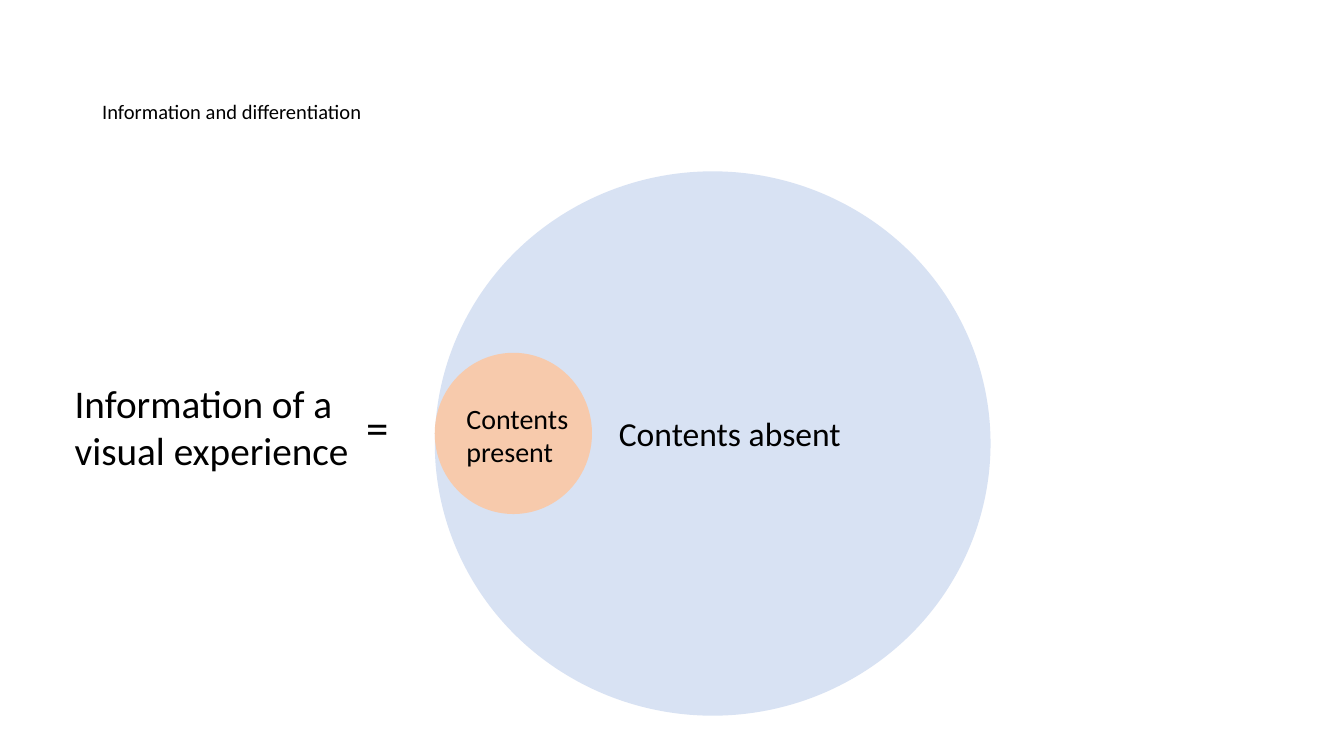
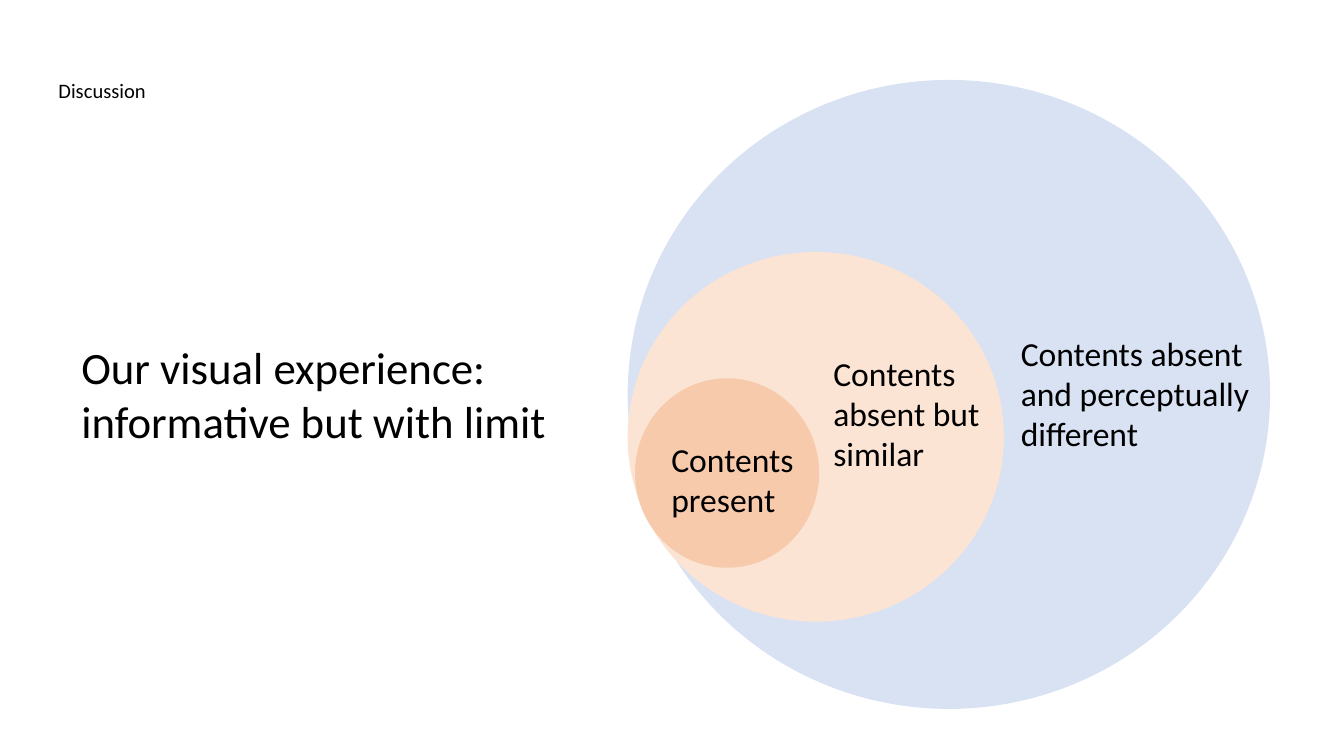
"""Build two slides of nested circles on what a visual experience contains."""

from dataclasses import dataclass

from pptx import Presentation
from pptx.dml.color import RGBColor
from pptx.enum.shapes import MSO_SHAPE
from pptx.enum.text import MSO_ANCHOR
from pptx.shapes.shapetree import GroupShapes, SlideShapes
from pptx.util import Emu, Pt

EMU_PER_PX = 4572
SLIDE_WIDTH, SLIDE_HEIGHT = 2000, 1125
INSET_X, INSET_Y = 15, 8


@dataclass(frozen=True)
class Theme:
    font: str = "Calibri"
    text: RGBColor = RGBColor(0x00, 0x00, 0x00)
    background: RGBColor = RGBColor(0xFF, 0xFF, 0xFF)
    absent: RGBColor = RGBColor(0xD8, 0xE2, 0xF3)
    similar: RGBColor = RGBColor(0xFB, 0xE4, 0xD4)
    present: RGBColor = RGBColor(0xF7, 0xCA, 0xAC)
    title_size: int = 11
    small_label_size: int = 15
    label_size: int = 18
    statement_size: int = 21
    headline_size: int = 24
    title_line_spacing: float = 0.9


THEME = Theme()


@dataclass(frozen=True)
class Box:
    left: int
    top: int
    width: int
    height: int

    def emu(self) -> tuple[Emu, Emu, Emu, Emu]:
        return px(self.left), px(self.top), px(self.width), px(self.height)


@dataclass(frozen=True)
class Label:
    text: str
    box: Box
    size: int = THEME.label_size
    anchor: MSO_ANCHOR = MSO_ANCHOR.TOP
    line_spacing: float = 1.0


@dataclass(frozen=True)
class Region:
    circle: Box
    color: RGBColor
    label: Label


@dataclass(frozen=True)
class Page:
    title: Label
    statements: list[Label]
    regions: list[Region]


def px(length: int) -> Emu:
    return Emu(length * EMU_PER_PX)


def title(text: str, left: int, top: int) -> Label:
    return Label(text, Box(left, top, 1725, 217), THEME.title_size,
                 MSO_ANCHOR.MIDDLE, THEME.title_line_spacing)


PAGES = [
    Page(
        title("Information and differentiation", 137, 60),
        [
            Label("Information of a visual experience", Box(96, 557, 496, 156), THEME.statement_size),
            Label("=", Box(530, 587, 234, 96), THEME.headline_size),
        ],
        [
            Region(Box(647, 255, 827, 810), THEME.absent,
                   Label("Contents absent", Box(906, 607, 386, 76))),
            Region(Box(647, 525, 234, 240), THEME.present,
                   Label("Contents present", Box(679, 589, 218, 116), THEME.small_label_size)),
        ],
    ),
    Page(
        title("Discussion", 72, 28),
        [
            Label("Our visual experience: informative but with limit",
                  Box(106, 498, 732, 176), THEME.headline_size),
        ],
        [
            Region(Box(934, 119, 956, 936), THEME.absent,
                   Label("Contents absent and perceptually different", Box(1504, 487, 446, 196))),
            Region(Box(934, 375, 560, 550), THEME.similar,
                   Label("Contents absent but similar", Box(1225, 517, 258, 196))),
            Region(Box(945, 563, 274, 282), THEME.present,
                   Label("Contents present", Box(984, 645, 214, 136))),
        ],
    ),
]


def add_label(shapes: SlideShapes | GroupShapes, label: Label) -> None:
    frame = shapes.add_textbox(*label.box.emu()).text_frame
    frame.word_wrap = True
    frame.vertical_anchor = label.anchor
    frame.margin_left = frame.margin_right = px(INSET_X)
    frame.margin_top = frame.margin_bottom = px(INSET_Y)
    paragraph = frame.paragraphs[0]
    paragraph.text = label.text
    paragraph.line_spacing = label.line_spacing
    paragraph.font.name = THEME.font
    paragraph.font.size = Pt(label.size)
    paragraph.font.color.rgb = THEME.text


def add_region(shapes: SlideShapes, region: Region) -> None:
    group = shapes.add_group_shape()
    circle = group.shapes.add_shape(MSO_SHAPE.OVAL, *region.circle.emu())
    circle.shadow.inherit = False
    circle.fill.solid()
    circle.fill.fore_color.rgb = region.color
    circle.line.fill.background()
    add_label(group.shapes, region.label)


def add_page(presentation: Presentation, page: Page) -> None:
    slide = presentation.slides.add_slide(presentation.slide_layouts[6])
    slide.background.fill.solid()
    slide.background.fill.fore_color.rgb = THEME.background
    add_label(slide.shapes, page.title)
    for region in page.regions:
        add_region(slide.shapes, region)
    for statement in page.statements:
        add_label(slide.shapes, statement)


def main() -> None:
    presentation = Presentation()
    presentation.slide_width = px(SLIDE_WIDTH)
    presentation.slide_height = px(SLIDE_HEIGHT)
    for page in PAGES:
        add_page(presentation, page)
    presentation.save("out.pptx")


if __name__ == "__main__":
    main()
